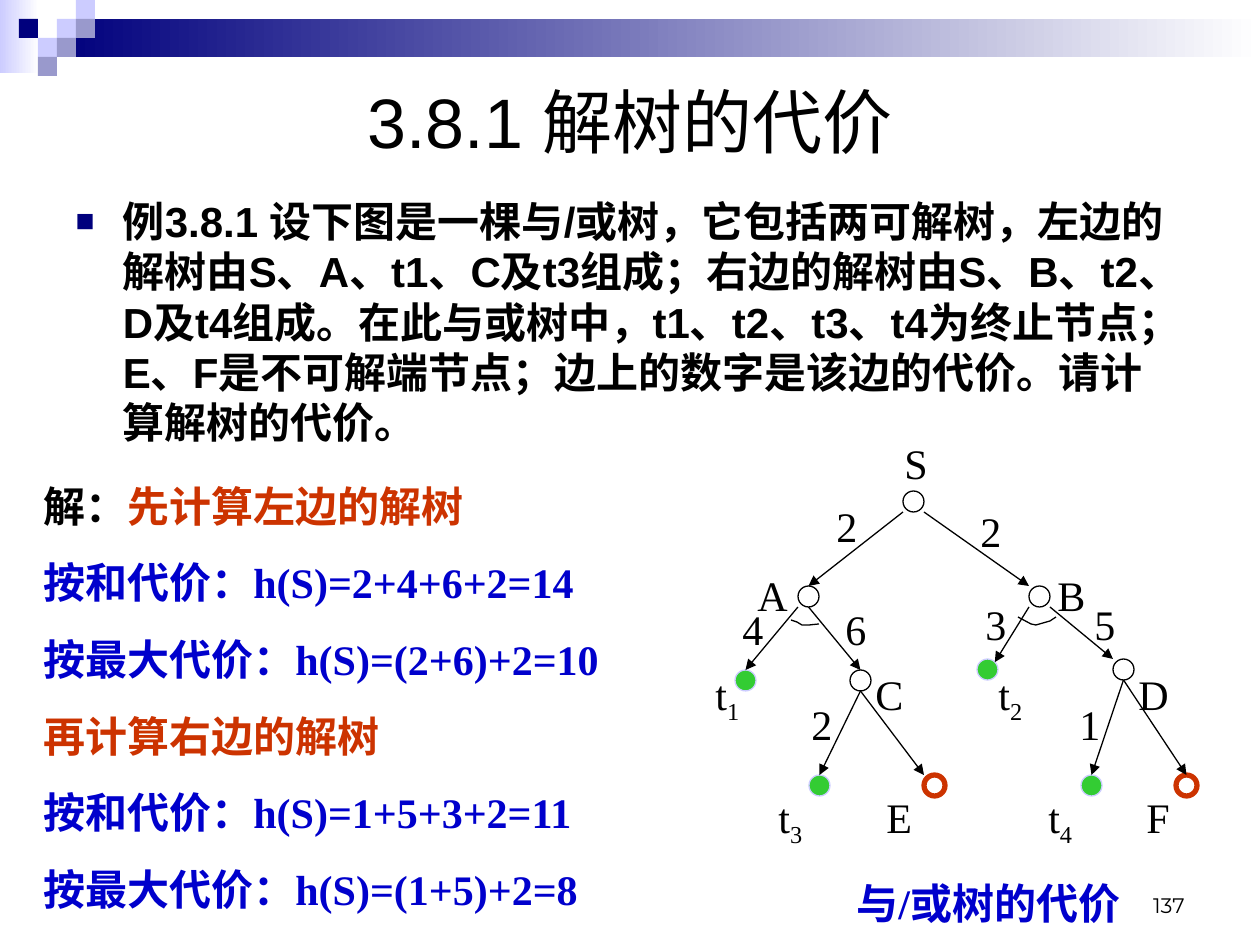
from lxml.etree import SubElement
from pptx import Presentation
from pptx.dml.color import RGBColor
from pptx.enum.shapes import MSO_CONNECTOR as Connector, MSO_SHAPE as Preset
from pptx.enum.text import MSO_ANCHOR as Anchor, MSO_AUTO_SIZE as AutoSize, PP_ALIGN as Align
from pptx.oxml.ns import qn
from pptx.util import Pt

SCALE = 914400 / 126
COLORS = {"black": "000000", "navy": "00007D", "lavender": "CCCCFF", "slate": "9999CC",
          "white": "FFFFFF", "green": "33CC33", "red": "CC3300", "blue": "0000CC"}
SERIF = {"name": "Times New Roman", "size": Pt(24)}
SANS = {"name": "Arial", "size": Pt(24), "bold": True}
NODE = 21

# Top left corner of each node within the tree, and its kind
NODES = {
    "S": (203, 51, "open"), "A": (98, 146, "open"), "B": (329, 146, "open"),
    "C": (150, 230, "open"), "D": (413, 219, "open"),
    "t1": (35, 230, "solved"), "t2": (277, 219, "solved"),
    "t3": (109, 335, "solved"), "t4": (381, 335, "solved"),
    "E": (224, 335, "dead"), "F": (476, 335, "dead"),
}
KINDS = {"open": (None, "black", 0.75), "solved": ("green", "lavender", 0.75),
         "dead": (None, "red", 3)}
SPOTS = {"top": (0.5, 0), "top left": (0, 0), "top right": (0.85, 0.15),
         "bottom": (0.5, 1), "bottom left": (0, 1), "bottom right": (1, 1)}
EDGES = [
    ("S", "bottom left", "A", "top"), ("S", "bottom right", "B", "top left"),
    ("A", "bottom left", "t1", "top"), ("A", "bottom", "C", "top"),
    ("B", "bottom left", "t2", "top right"), ("B", "bottom right", "D", "top left"),
    ("C", "bottom", "t3", "top"), ("C", "bottom", "E", "top left"),
    ("D", "bottom", "t4", "top"), ("D", "bottom", "F", "top"),
]
AND_ARCS = [[(91, 180), (97, 182), (102, 185), (109, 185), (119, 184)],
            [(318, 177), (331, 184), (336, 185), (350, 181), (356, 177)]]
# Text, subscript, left and top of each label within the tree
LABELS = [
    ("S", "", 192, -9), ("A", "", 45, 123), ("B", "", 345, 123),
    ("t", "1", 3, 222), ("C", "", 163, 222), ("t", "2", 286, 222), ("D", "", 426, 222),
    ("t", "3", 66, 345), ("E", "", 174, 345), ("t", "4", 336, 345), ("F", "", 434, 345),
    ("2", "", 124, 54), ("2", "", 268, 59), ("4", "", 30, 157), ("6", "", 133, 157),
    ("3", "", 273, 152), ("5", "", 382, 152), ("2", "", 99, 252), ("1", "", 367, 252),
]
SOLUTION = [
    [("解：", "black"), ("先计算左边的解树", "red")],
    [("按和代价：h(S)=2+4+6+2=14", "blue")],
    [("按最大代价：h(S)=(2+6)+2=10", "blue")],
    [("再计算右边的解树", "red")],
    [("按和代价：h(S)=1+5+3+2=11", "blue")],
    [("按最大代价：h(S)=(1+5)+2=8", "blue")],
]
QUESTION = ("例3.8.1 设下图是一棵与/或树，它包括两可解树，左边的解树由S、A、t1、C及t3组成；"
            "右边的解树由S、B、t2、D及t4组成。在此与或树中，t1、t2、t3、t4为终止节点；"
            "E、F是不可解端节点；边上的数字是该边的代价。请计算解树的代价。")


def px(*lengths):
    return [round(length * SCALE) for length in lengths]


def rgb(color):
    return RGBColor.from_string(COLORS[color])


def apply_format(target, values):
    for name, value in values.items():
        setattr(target, name, value)


def add_run(paragraph, text, color, font):
    run = paragraph.add_run()
    run.text = text
    apply_format(run.font, font)
    run.font.color.rgb = rgb(color)
    return run


def add_text_box(slide, box, **frame_format):
    frame = slide.shapes.add_textbox(*px(*box)).text_frame
    apply_format(frame, {"word_wrap": True, **frame_format})
    return frame


def style(shape, fill=None, line=None, width=0.75):
    shape.shadow.inherit = False
    if fill:
        shape.fill.solid()
        shape.fill.fore_color.rgb = rgb(fill)
    else:
        shape.fill.background()
    if line:
        shape.line.color.rgb = rgb(line)
        shape.line.width = Pt(width)
    else:
        shape.line.fill.background()


def fill_placeholder(shape, box, anchor):
    apply_format(shape, dict(zip(("left", "top", "width", "height"), px(*box))))
    apply_format(shape.text_frame, {"auto_size": AutoSize.NONE, "vertical_anchor": anchor})
    return shape.text_frame.paragraphs[0]


def add_banner(slide, left, top):
    for x, y, width, height, start in ((0, 0, 39, 73, "lavender"), (57, 19, 1203, 38, "navy")):
        band = slide.shapes.add_shape(Preset.RECTANGLE, *px(left + x, top + y, width, height))
        style(band)
        band.fill.gradient()
        band.fill.gradient_angle = 0
        for stop, color in zip(band.fill.gradient_stops, (start, "white")):
            stop.color.rgb = rgb(color)
    tiles = [(3, 1, "lavender"), (4, 0, "lavender"), (4, 1, "slate"), (2, 2, "lavender"),
             (1, 1, "navy"), (3, 2, "slate"), (2, 3, "slate")]
    for column, row, color in tiles:
        tile = slide.shapes.add_shape(
            Preset.RECTANGLE, *px(left + column * 19, top + row * 19, 19, 19))
        style(tile, color)


def add_title(slide, box):
    paragraph = fill_placeholder(slide.shapes.title, box, Anchor.MIDDLE)
    paragraph.alignment = Align.CENTER
    add_run(paragraph, "3.8.1 解树的代价", "black", {"name": "Arial", "size": Pt(40)})


def add_question(slide, box):
    paragraph = fill_placeholder(slide.placeholders[1], box, Anchor.TOP)
    paragraph.space_before = Pt(0)
    properties = paragraph._p.get_or_add_pPr()
    bullet_color = SubElement(properties, qn("a:buClr"))
    SubElement(bullet_color, qn("a:srgbClr"), val=COLORS["navy"])
    SubElement(properties, qn("a:buSzPct"), val="75000")
    SubElement(properties, qn("a:buFont"), typeface="Arial")
    SubElement(properties, qn("a:buChar"), char="■")
    add_run(paragraph, QUESTION, "black", SANS)


def add_solution(slide, box):
    frame = add_text_box(slide, box)
    for index, runs in enumerate(SOLUTION):
        paragraph = frame.add_paragraph() if index else frame.paragraphs[0]
        apply_format(paragraph, {"alignment": Align.JUSTIFY,
                                 "space_before": Pt(15 if index else 0)})
        for text, color in runs:
            add_run(paragraph, text, color, {**SERIF, "bold": True})


def add_edge(slide, start, end):
    edge = slide.shapes.add_connector(Connector.STRAIGHT, *px(*start, *end))
    edge.line.color.rgb = rgb("black")
    edge.line.width = Pt(0.75)
    SubElement(edge.line._get_or_add_ln(), qn("a:tailEnd"), type="triangle")
    SubElement(edge._element.spPr, qn("a:effectLst"))


def add_tree(slide, left, top):
    def spot(node, name):
        x, y, _ = NODES[node]
        across, down = SPOTS[name]
        return left + x + NODE * across, top + y + NODE * down

    for x, y, kind in NODES.values():
        node = slide.shapes.add_shape(Preset.OVAL, *px(left + x, top + y, NODE, NODE))
        style(node, *KINDS[kind])
    for parent, start, child, end in EDGES:
        add_edge(slide, spot(parent, start), spot(child, end))
    for points in AND_ARCS:
        corners = [(left + x, top + y) for x, y in points]
        builder = slide.shapes.build_freeform(*corners[0], scale=SCALE)
        builder.add_line_segments(corners[1:], close=False)
        style(builder.convert_to_shape(), line="black")
    for text, subscript, x, y in LABELS:
        paragraph = add_text_box(slide, (left + x, top + y, 62, 63)).paragraphs[0]
        add_run(paragraph, text, "black", SERIF)
        if subscript:
            run = add_run(paragraph, subscript, "black", SERIF)
            run._r.get_or_add_rPr().set("baseline", "-25000")
    caption = add_text_box(slide, (left + 144, top + 431, 320, 63)).paragraphs[0]
    add_run(caption, "与/或树的代价", "blue", {**SERIF, "bold": True})


def add_page_number(slide, box):
    paragraph = add_text_box(slide, box, vertical_anchor=Anchor.BOTTOM).paragraphs[0]
    paragraph.alignment = Align.RIGHT
    add_run(paragraph, "137", "black", {"name": "Montserrat", "size": Pt(12)})


def main():
    presentation = Presentation()
    presentation.slide_width, presentation.slide_height = px(1260, 945)
    slide = presentation.slides.add_slide(presentation.slide_layouts[1])
    add_banner(slide, 0, 0)
    add_title(slide, (63, 63, 1134, 116))
    add_question(slide, (63, 189, 1134, 294))
    add_tree(slide, 700, 440)
    add_solution(slide, (31, 474, 662, 446))
    add_page_number(slide, (903, 861, 294, 63))
    presentation.save("out.pptx")


if __name__ == "__main__":
    main()
